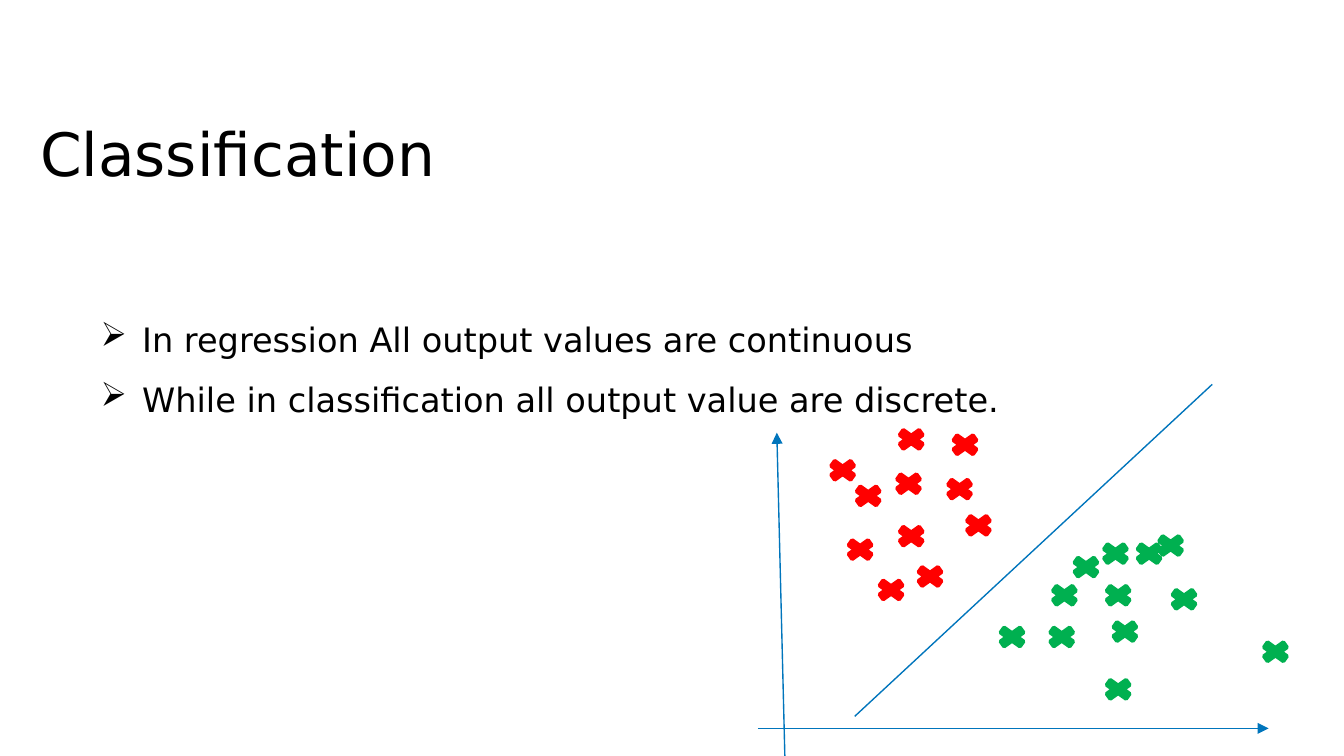
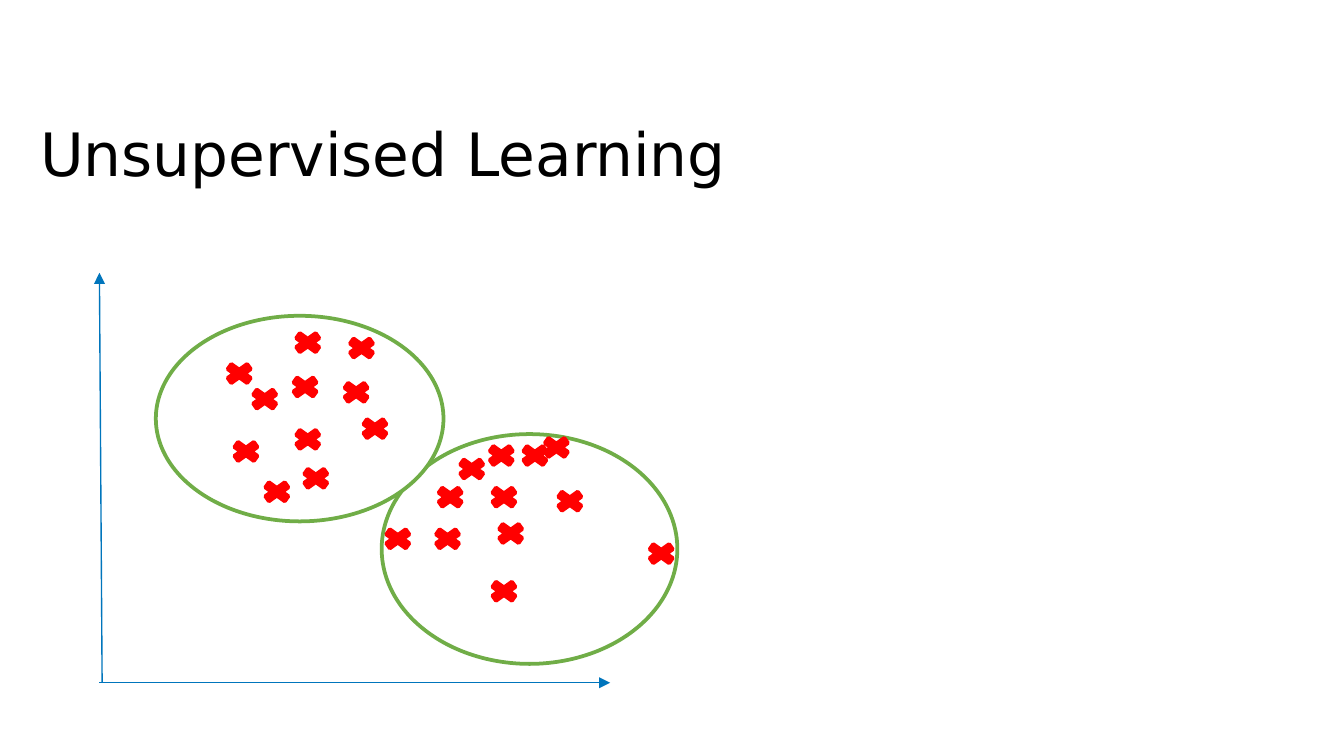
from dataclasses import dataclass
from typing import Optional

from lxml.etree import SubElement
from pptx import Presentation
from pptx.dml.color import RGBColor
from pptx.enum.shapes import MSO_CONNECTOR, MSO_SHAPE
from pptx.enum.text import MSO_ANCHOR
from pptx.oxml.ns import qn
from pptx.util import Inches, Length, Pt

WIDTH = Inches(10)
HEIGHT = WIDTH * 9 // 16
CELL = WIDTH // 100  # square grid cell: the slide is 100 columns wide

FONT = "DejaVu Sans"
BLACK, WHITE = "000000", "FFFFFF"
BLUE, RED, GREEN, OLIVE = "0075BC", "FF0000", "00B050", "70AD47"

Point = tuple[float, float]  # column, row


@dataclass(frozen=True)
class Box:
    column: float
    row: float
    columns: float
    rows: float

    def lengths(self) -> tuple[Length, ...]:
        return tuple(grid(n) for n in (self.column, self.row, self.columns, self.rows))


@dataclass(frozen=True)
class Line:
    start: Point
    end: Point
    arrow: bool = True


@dataclass(frozen=True)
class Cluster:
    """Crosses placed relative to the cluster's top left corner."""
    corner: Point
    crosses: tuple[Point, ...]
    color: str


@dataclass(frozen=True)
class Content:
    title: str
    lines: tuple[Line, ...]
    clusters: tuple[Cluster, ...]
    bullets: tuple[str, ...] = ()
    ovals: tuple[Box, ...] = ()


TITLE_BOX = Box(2, 6.6, 85.4, 8.4)
BULLET_BOX = Box(6.5, 21.7, 73.7, 10.1)
CROSS_SIZE = (2.8, 2)

UPPER = ((0, 2.3), (1.9, 4.2), (4.9, 3.3), (9.1, 0.4),
         (8.7, 3.7), (5.1, 0), (5.1, 7.2), (10.1, 6.4))
LOWER = ((0, 0), (5.2, 2), (2.3, 3))
RIGHT = ((5.5, 1.6), (7.7, 0.6), (3.9, 3.7), (0, 6.8), (7.9, 10.7), (7.9, 3.7),
         (10.2, 0.6), (3.7, 6.8), (8.4, 6.4), (19.6, 7.9), (12.8, 4), (11.8, 0))

SLIDES = (
    Content(
        "Classification",
        lines=(
            Line((56.4, 54.2), (94.4, 54.2)),
            Line((58.4, 56.3), (57.8, 32.2)),
            Line((63.6, 53.3), (90.2, 28.6), arrow=False),
        ),
        clusters=(
            Cluster((61.3, 31.7), UPPER, RED),
            Cluster((62.6, 39.9), LOWER, RED),
            Cluster((73.9, 39.6), RIGHT, GREEN),
        ),
        bullets=(
            "In regression All output values are continuous",
            "While in classification all output value are discrete.",
        ),
    ),
    Content(
        "Unsupervised Learning",
        lines=(
            Line((7.4, 50.8), (45.4, 50.8)),
            Line((7.6, 50.8), (7.4, 20.3)),
        ),
        clusters=(
            Cluster((16.4, 24.5), UPPER, RED),
            Cluster((16.9, 32.6), LOWER, RED),
            Cluster((28.2, 32.3), RIGHT, RED),
        ),
        ovals=(Box(28.4, 32.3, 22, 17.1), Box(11.6, 23.5, 21.4, 15.3)),
    ),
)


def grid(cells: float) -> Length:
    return Length(round(cells * CELL))


def rgb(color: str) -> RGBColor:
    return RGBColor.from_string(color)


def add_text(slide, box: Box, lines: tuple[str, ...], size: int, inset: float,
             anchor: MSO_ANCHOR, bullet: Optional[str] = None) -> None:
    frame = slide.shapes.add_textbox(*box.lengths()).text_frame
    frame.word_wrap = True
    frame.vertical_anchor = anchor
    frame.margin_left = frame.margin_right = grid(1)
    frame.margin_top = frame.margin_bottom = grid(inset)
    frame.text = "\n".join(lines)
    for paragraph in frame.paragraphs:
        if bullet:
            paragraph.line_spacing = 1.5
            add_bullet(paragraph, bullet)
        font = paragraph.font
        font.name, font.size = FONT, Pt(size)
        font.color.rgb = rgb(BLACK)


def add_bullet(paragraph, character: str) -> None:
    properties = paragraph._p.get_or_add_pPr()
    indent = grid(3.1)
    properties.set("marL", str(indent))
    properties.set("indent", str(-indent))
    color = SubElement(properties, qn("a:buClr"))
    SubElement(color, qn("a:srgbClr"), val=BLACK)
    SubElement(properties, qn("a:buChar"), char=character)


def add_figure(shapes, kind: MSO_SHAPE, box: Box, fill: str, outline: str):
    shape = shapes.add_shape(kind, *box.lengths())
    shape.shadow.inherit = False
    shape.fill.solid()
    shape.fill.fore_color.rgb = rgb(fill)
    shape.line.color.rgb = rgb(outline)
    shape.line.width = Pt(2)
    return shape


def add_line(slide, line: Line) -> None:
    ends = (grid(n) for n in (*line.start, *line.end))
    connector = slide.shapes.add_connector(MSO_CONNECTOR.STRAIGHT, *ends)
    connector.line.color.rgb = rgb(BLUE)
    connector.line.width = Pt(0.75)
    if line.arrow:
        SubElement(connector.line._get_or_add_ln(), qn("a:tailEnd"), type="triangle")
    SubElement(connector._element.spPr, qn("a:effectLst"))


def add_cluster(slide, cluster: Cluster) -> None:
    group = slide.shapes.add_group_shape()
    left, top = cluster.corner
    for column, row in cluster.crosses:
        box = Box(left + column, top + row, *CROSS_SIZE)
        cross = add_figure(group.shapes, MSO_SHAPE.MATH_MULTIPLY, box,
                           cluster.color, cluster.color)
        cross.adjustments[0] = 0.235


def add_slide(presentation, content: Content) -> None:
    slide = presentation.slides.add_slide(presentation.slide_layouts[6])
    for oval in content.ovals:
        add_figure(slide.shapes, MSO_SHAPE.OVAL, oval, WHITE, OLIVE)
    add_text(slide, TITLE_BOX, (content.title,), 32, 1, MSO_ANCHOR.BOTTOM)
    if content.bullets:
        add_text(slide, BULLET_BOX, content.bullets, 18, 0.5, MSO_ANCHOR.TOP, "➢")
    for line in content.lines:
        add_line(slide, line)
    for cluster in content.clusters:
        add_cluster(slide, cluster)


def main() -> None:
    presentation = Presentation()
    presentation.slide_width, presentation.slide_height = WIDTH, HEIGHT
    for content in SLIDES:
        add_slide(presentation, content)
    presentation.save("out.pptx")


if __name__ == "__main__":
    main()
